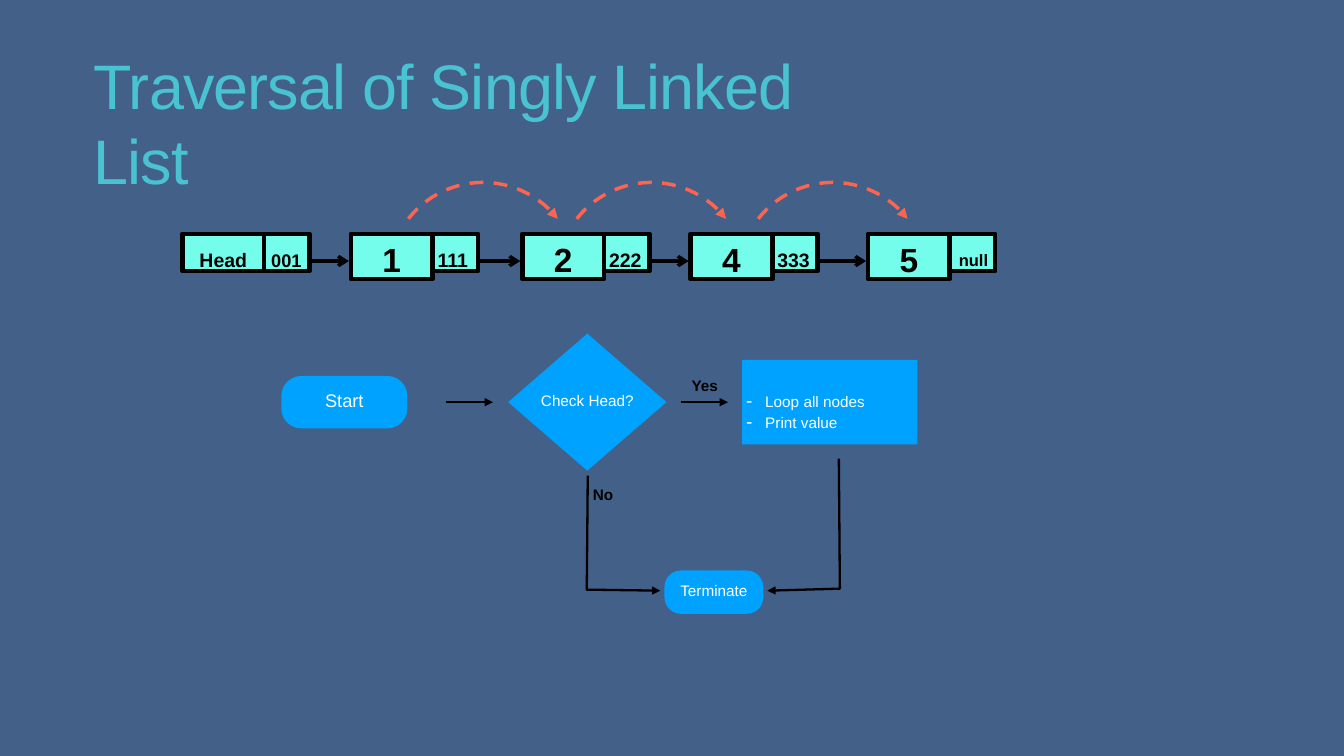
import math

import pptx
import pptx.dml.color
import pptx.enum.dml
import pptx.enum.shapes
import pptx.enum.text
import pptx.oxml
import pptx.oxml.ns
import pptx.util

Inches = pptx.util.Inches
Pt = pptx.util.Pt
RGBColor = pptx.dml.color.RGBColor
SHAPE = pptx.enum.shapes.MSO_SHAPE
ALIGN = pptx.enum.text.PP_ALIGN
ANCHOR = pptx.enum.text.MSO_ANCHOR
qn = pptx.oxml.ns.qn

NAVY = RGBColor(0x43, 0x60, 0x89)
TEAL = RGBColor(0x49, 0xC3, 0xD2)
MINT = RGBColor(0x73, 0xFD, 0xEA)
BLUE = RGBColor(0x00, 0xA2, 0xFF)
CORAL = RGBColor(0xFF, 0x64, 0x4E)
BLACK = RGBColor(0, 0, 0)
WHITE = RGBColor(0xFF, 0xFF, 0xFF)


def write_text(shape, lines, size, colour, bold=False, align=ALIGN.LEFT, **frame_format):
    """Fill a shape with paragraphs; frame_format overrides the text frame defaults."""
    frame = shape.text_frame
    frame_values = {"margin_left": 0, "margin_top": 0, "margin_right": 0,
                    "margin_bottom": 0, "word_wrap": False,
                    "vertical_anchor": ANCHOR.TOP, **frame_format}
    for name, value in frame_values.items():
        setattr(frame, name, value)
    frame.text = "\n".join(lines)
    for para in frame.paragraphs:
        para.alignment = align
        font = para.runs[0].font
        for name, value in {"name": "Arial", "size": Pt(size), "bold": bold}.items():
            setattr(font, name, value)
        font.color.rgb = colour


def draw_arrow(points, colour, width, head="triangle", dash=None):
    """Draw a straight connector for two points, an open outline for more."""
    corners = [(Inches(x), Inches(y)) for x, y in points]
    if len(corners) == 2:
        arrow = page.shapes.add_connector(
            pptx.enum.shapes.MSO_CONNECTOR.STRAIGHT, *corners[0], *corners[1])
    else:
        builder = page.shapes.build_freeform(*corners[0])
        builder.add_line_segments(corners[1:], close=False)
        arrow = builder.convert_to_shape()
        arrow.fill.background()
    arrow.line.color.rgb = colour
    arrow.line.width = Pt(width)
    if dash:
        arrow.line.dash_style = dash
    properties = arrow.element.spPr
    tail = pptx.oxml.parse_xml(
        f'<a:tailEnd {pptx.oxml.ns.nsdecls("a")} type="{head}"/>')
    properties.find(qn("a:ln")).append(tail)
    properties.append(pptx.oxml.parse_xml(
        f'<a:effectLst {pptx.oxml.ns.nsdecls("a")}/>'))


deck = pptx.Presentation()
deck.slide_width, deck.slide_height = Inches(13.33), Inches(7.5)
page = deck.slides.add_slide(deck.slide_layouts[6])
page.background.fill.solid()
page.background.fill.fore_color.rgb = NAVY

# Title, slightly tightened
title = page.shapes.add_textbox(Inches(0.93), Inches(0.46), Inches(7.78), Inches(1.52))
write_text(title, ["Traversal of Singly Linked List"], 44.9, TEAL, word_wrap=True)
title_span = title.text_frame.paragraphs[0].runs[0]
title_span._r.get_or_add_rPr().set("spc", "-60")

# Linked list: left, value, value size, value inset, value height,
# address, address size, address left inset, address top inset
LIST_TOP, VALUE_WIDTH, ADDRESS_WIDTH = 2.32, 0.81, 0.45
nodes = [
    (1.81, "Head", 13.9, 0.14, 0.37, "001", 13, 0.07, 0.15),
    (3.48, "1", 23.9, 0.05, 0.45, "111", 13.9, 0.05, 0.14),
    (5.18, "2", 23.9, 0.05, 0.45, "222", 13.9, 0.05, 0.14),
    (6.85, "4", 23.9, 0.05, 0.45, "333", 13.9, 0.05, 0.14),
    (8.61, "5", 23.9, 0.05, 0.45, "null", 11.8, 0.09, 0.16),
]
for (left, value, value_size, value_top, value_height,
     address, address_size, address_left, address_top) in nodes:
    cells = [
        (left, VALUE_WIDTH, value_height, value, value_size, ALIGN.CENTER, 0, value_top),
        (left + VALUE_WIDTH, ADDRESS_WIDTH, 0.37, address, address_size,
         ALIGN.LEFT, address_left, address_top),
    ]
    for x, width, height, label, size, align, inset_left, inset_top in cells:
        cell = page.shapes.add_shape(
            SHAPE.RECTANGLE, Inches(x), Inches(LIST_TOP), Inches(width), Inches(height))
        cell.shadow.inherit = False
        cell.fill.solid()
        cell.fill.fore_color.rgb = MINT
        cell.line.color.rgb = BLACK
        cell.line.width = Pt(3.3)
        write_text(cell, [label], size, BLACK, bold=True, align=align,
                   margin_left=Inches(inset_left), margin_top=Inches(inset_top),
                   word_wrap=True)

for node, following in zip(nodes, nodes[1:]):
    start = node[0] + VALUE_WIDTH + ADDRESS_WIDTH + 0.02
    draw_arrow([(start, 2.59), (following[0] - 0.02, 2.59)], BLACK, 2.47, head="arrow")

# Dashed hops from node to node
HOP_RADIUS, HOP_ANGLE, HOP_CENTRE_Y = 0.94, 52, 2.75
for hop_left in (4.05, 5.72, 7.52):
    centre_x = hop_left + HOP_RADIUS * math.sin(math.radians(HOP_ANGLE))
    angles = [math.radians(a) for a in range(-HOP_ANGLE, HOP_ANGLE + 1, 4)]
    draw_arrow([(centre_x + HOP_RADIUS * math.sin(a),
                 HOP_CENTRE_Y - HOP_RADIUS * math.cos(a)) for a in angles],
               CORAL, 2.47, dash=pptx.enum.dml.MSO_LINE.DASH)

# Flowchart steps
centred = {"align": ALIGN.CENTER, "vertical_anchor": ANCHOR.MIDDLE,
           "margin_bottom": Inches(0.03)}
looped = {"margin_left": Inches(0.04), "margin_top": Inches(0.29), "word_wrap": True}
steps = [
    (SHAPE.ROUNDED_RECTANGLE, 2.79, 3.73, 1.25, 0.52, ["Start"], 13, centred),
    (SHAPE.DIAMOND, 5.04, 3.31, 1.57, 1.36, ["Check Head?"], 10.9, centred),
    (SHAPE.ROUNDED_RECTANGLE, 6.59, 5.66, 0.98, 0.43, ["Terminate"], 10.9, centred),
    (SHAPE.RECTANGLE, 7.36, 3.57, 1.74, 0.84, ["Loop all nodes", "Print value"],
     10.9, looped),
]
for kind, left, top, width, height, lines, size, text_format in steps:
    step = page.shapes.add_shape(
        kind, Inches(left), Inches(top), Inches(width), Inches(height))
    step.shadow.inherit = False
    step.fill.solid()
    step.fill.fore_color.rgb = BLUE
    step.line.fill.background()
    if kind == SHAPE.ROUNDED_RECTANGLE:
        step.adjustments[0] = 0.38
    write_text(step, lines, size, WHITE, **text_format)

# The last step is the dashed list of actions
for para in step.text_frame.paragraphs:
    para.line_spacing = Pt(15)
    bullet_format = para._p.get_or_add_pPr()
    bullet_format.set("marL", str(Inches(0.19)))
    bullet_format.set("indent", str(-Inches(0.19)))
    for tag, name, value in (("buSzPct", "val", "125000"),
                             ("buFont", "typeface", "Arial"),
                             ("buChar", "char", "-")):
        bullet_format.append(pptx.oxml.parse_xml(
            f'<a:{tag} {pptx.oxml.ns.nsdecls("a")} {name}="{value}"/>'))

# Flowchart arrows and branch labels
flows = [
    [(4.42, 3.99), (4.89, 3.99)],
    [(6.75, 3.99), (7.22, 3.99)],
    [(5.83, 4.72), (5.82, 5.85), (6.55, 5.86)],
    [(8.32, 4.55), (8.33, 5.84), (7.61, 5.86)],
]
for points in flows:
    draw_arrow(points, BLACK, 1.65)

for label, left, top in (("No", 5.88, 4.8), ("Yes", 6.86, 3.72)):
    branch = page.shapes.add_textbox(
        Inches(left), Inches(top), Inches(0.4), Inches(0.19))
    write_text(branch, [label], 10.9, BLACK, bold=True, word_wrap=True,
               margin_top=Inches(0.01))

deck.save("out.pptx")
